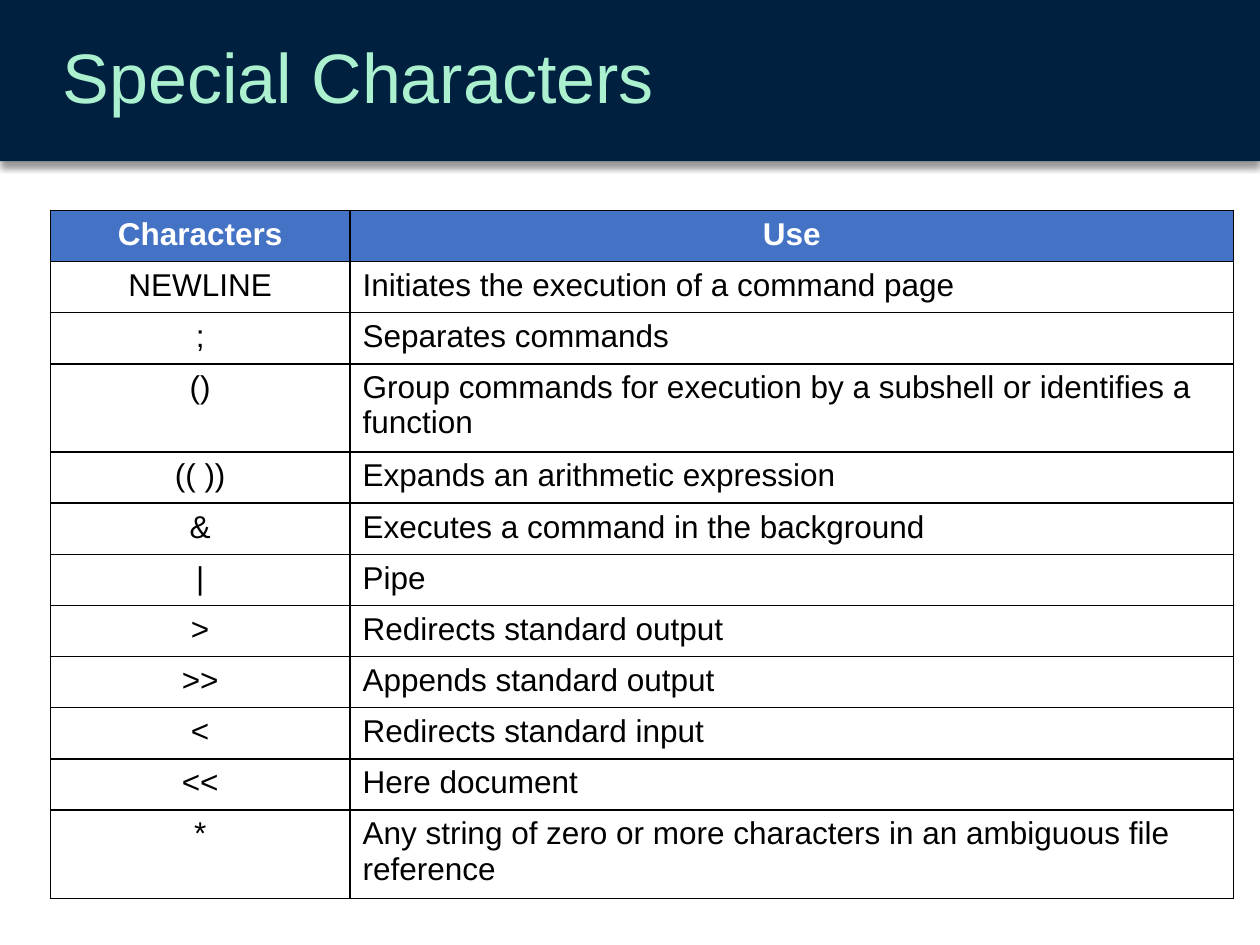
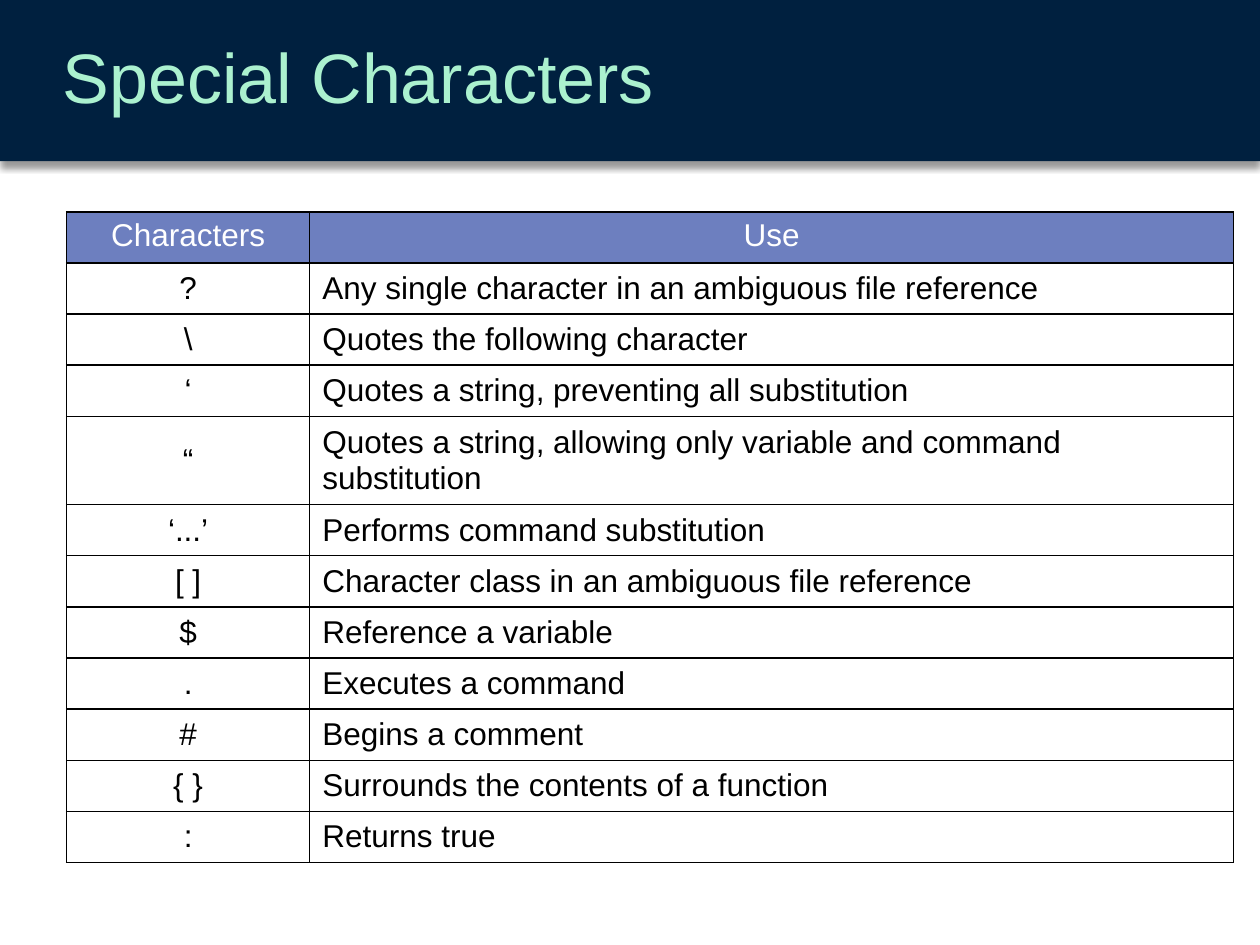
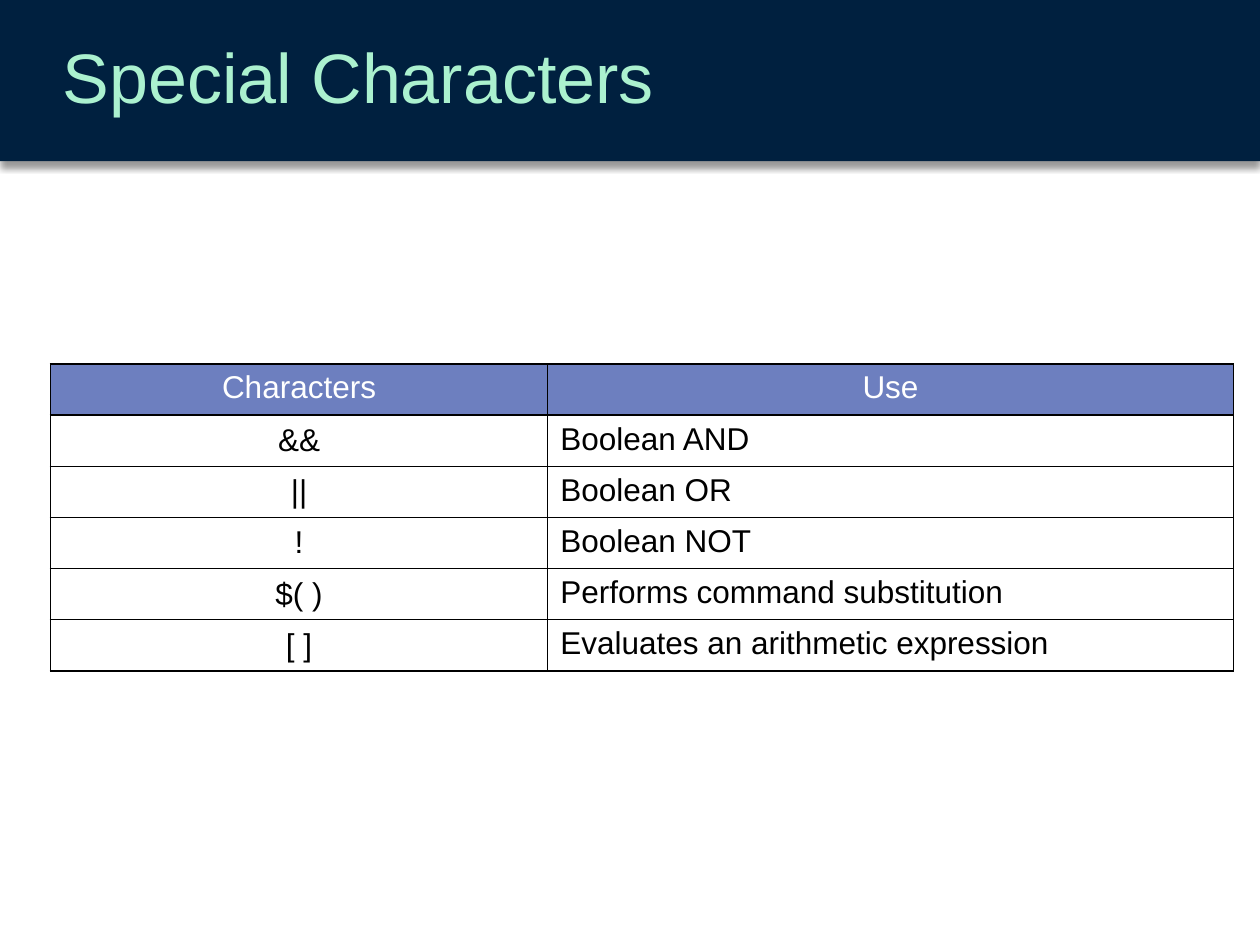
from dataclasses import dataclass

from lxml.etree import SubElement
from pptx import Presentation
from pptx.dml.color import RGBColor
from pptx.enum.shapes import MSO_SHAPE
from pptx.enum.text import MSO_ANCHOR as Anchor, PP_ALIGN as Align
from pptx.oxml.ns import qn
from pptx.shapes.autoshape import Shape
from pptx.slide import Slide
from pptx.table import _Cell as Cell
from pptx.text.text import TextFrame
from pptx.util import Length, Pt


@dataclass(frozen=True)
class Theme:
    font: str = "Arial"
    band: str = "00203F"
    title: str = "ABF1CF"
    strong_header: str = "4472C4"
    soft_header: str = "6D7FBF"
    paper: str = "FFFFFF"
    ink: str = "000000"
    title_size: Length = Pt(40)
    table_size: Length = Pt(18)


@dataclass(frozen=True)
class CharacterTable:
    left: Length
    top: Length
    column_widths: tuple[Length, Length]
    entries: list[tuple[str, str]]
    two_line_rows: tuple[int, ...] = ()
    header_fill: str = Theme.soft_header
    header_bold: bool = False
    character_anchor: Anchor = Anchor.MIDDLE
    use_anchor: Anchor = Anchor.MIDDLE


THEME = Theme()
SLIDE_WIDTH, SLIDE_HEIGHT = Pt(720), Pt(540)
BAND_HEIGHT = Pt(92.16)
TITLE_LEFT = Pt(28.8)
ROW_HEIGHT, TWO_LINE_HEIGHT = Pt(29.25), Pt(50)
TITLE = "Special Characters"
HEADINGS = ("Characters", "Use")

TABLES = [
    CharacterTable(
        Pt(28.8), Pt(120.2), (Pt(171.2), Pt(504.8)),
        [
            ("NEWLINE", "Initiates the execution of a command page"),
            (";", "Separates commands"),
            ("()", "Group commands for execution by a subshell or identifies a function"),
            ("(( ))", "Expands an arithmetic expression"),
            ("&", "Executes a command in the background"),
            ("|", "Pipe"),
            (">", "Redirects standard output"),
            (">>", "Appends standard output"),
            ("<", "Redirects standard input"),
            ("<<", "Here document"),
            ("*", "Any string of zero or more characters in an ambiguous file reference"),
        ],
        two_line_rows=(3, 11),
        header_fill=THEME.strong_header,
        header_bold=True,
        character_anchor=Anchor.TOP,
        use_anchor=Anchor.TOP,
    ),
    CharacterTable(
        Pt(38), Pt(121), (Pt(139), Pt(527.8)),
        [
            ("?", "Any single character in an ambiguous file reference"),
            ("\\", "Quotes the following character"),
            ("‘", "Quotes a string, preventing all substitution"),
            ("“", "Quotes a string, allowing only variable and command substitution"),
            ("‘...’", "Performs command substitution"),
            ("[ ]", "Character class in an ambiguous file reference"),
            ("$", "Reference a variable"),
            (".", "Executes a command"),
            ("#", "Begins a comment"),
            ("{ }", "Surrounds the contents of a function"),
            (":", "Returns true"),
        ],
        two_line_rows=(4,),
    ),
    CharacterTable(
        Pt(28.8), Pt(208), (Pt(284.2), Pt(391.8)),
        [
            ("&&", "Boolean AND"),
            ("||", "Boolean OR"),
            ("!", "Boolean NOT"),
            ("$( )", "Performs command substitution"),
            ("[ ]", "Evaluates an arithmetic expression"),
        ],
        use_anchor=Anchor.TOP,
    ),
]


def rgb(value: str) -> RGBColor:
    return RGBColor.from_string(value)


def write(frame: TextFrame, text: str, *, size: Length, color: str,
          bold: bool = False, align: Align = Align.LEFT,
          line_spacing: float | None = None,
          space_after: Length | None = None) -> None:
    paragraph = frame.paragraphs[0]
    paragraph.alignment = align
    paragraph.line_spacing = line_spacing
    paragraph.space_after = space_after
    run = paragraph.add_run()
    run.text = text
    run.font.name = THEME.font
    run.font.size = size
    run.font.bold = bold
    run.font.color.rgb = rgb(color)


def add_soft_shadow(shape: Shape) -> None:
    shape.shadow.inherit = False
    effects = shape._element.spPr.find(qn("a:effectLst"))
    shadow = SubElement(effects, qn("a:outerShdw"), blurRad=str(Pt(4)),
                        dist=str(Pt(3)), dir="5400000", algn="t", rotWithShape="0")
    color = SubElement(shadow, qn("a:srgbClr"), val=THEME.ink)
    SubElement(color, qn("a:alpha"), val="40000")


def add_title_band(slide: Slide) -> None:
    band = slide.shapes.add_shape(MSO_SHAPE.RECTANGLE, 0, 0, SLIDE_WIDTH, BAND_HEIGHT)
    band.fill.solid()
    band.fill.fore_color.rgb = rgb(THEME.band)
    band.line.fill.background()
    add_soft_shadow(band)

    title = slide.shapes.add_textbox(TITLE_LEFT, 0, SLIDE_WIDTH - TITLE_LEFT, BAND_HEIGHT)
    frame = title.text_frame
    frame.word_wrap = True
    frame.vertical_anchor = Anchor.MIDDLE
    write(frame, TITLE, size=THEME.title_size, color=THEME.title,
          line_spacing=0.9, space_after=Pt(6))


def style_cell(cell: Cell, fill: str, anchor: Anchor) -> None:
    """Rule all four sides, then fill: the schema wants borders first."""
    properties = cell._tc.get_or_add_tcPr()
    for side in ("lnL", "lnR", "lnT", "lnB"):
        border = SubElement(properties, qn(f"a:{side}"), w=str(Pt(1)))
        paint = SubElement(border, qn("a:solidFill"))
        SubElement(paint, qn("a:srgbClr"), val=THEME.ink)
    cell.fill.solid()
    cell.fill.fore_color.rgb = rgb(fill)
    cell.vertical_anchor = anchor


def add_character_table(slide: Slide, content: CharacterTable) -> None:
    rows = [HEADINGS, *content.entries]
    heights = [TWO_LINE_HEIGHT if index in content.two_line_rows else ROW_HEIGHT
               for index in range(len(rows))]
    table = slide.shapes.add_table(
        len(rows), len(HEADINGS), content.left, content.top,
        sum(content.column_widths), sum(heights)).table
    table.first_row = table.horz_banding = False
    for column, width in zip(table.columns, content.column_widths):
        column.width = width

    body_anchors = (content.character_anchor, content.use_anchor)
    for row_index, (row, height) in enumerate(zip(rows, heights)):
        table.rows[row_index].height = height
        is_header = row_index == 0
        for column_index, text in enumerate(row):
            cell = table.cell(row_index, column_index)
            style_cell(cell, content.header_fill if is_header else THEME.paper,
                       Anchor.TOP if is_header else body_anchors[column_index])
            write(cell.text_frame, text, size=THEME.table_size,
                  color=THEME.paper if is_header else THEME.ink,
                  bold=is_header and content.header_bold,
                  align=Align.CENTER if is_header or column_index == 0 else Align.LEFT)


def main() -> None:
    deck = Presentation()
    deck.slide_width, deck.slide_height = SLIDE_WIDTH, SLIDE_HEIGHT
    blank = deck.slide_layouts[6]
    for content in TABLES:
        slide = deck.slides.add_slide(blank)
        add_title_band(slide)
        add_character_table(slide, content)
    deck.save("out.pptx")


if __name__ == "__main__":
    main()
